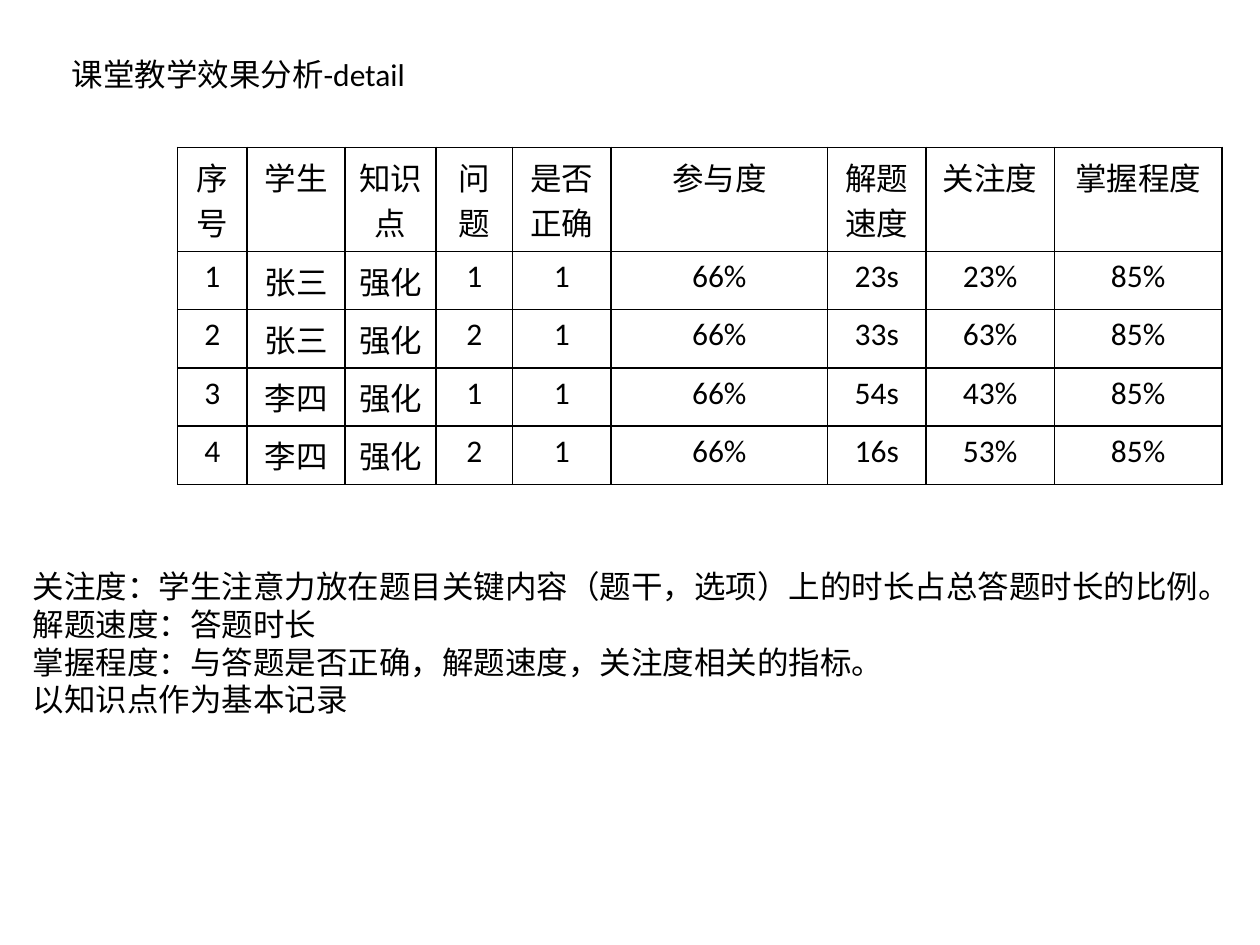
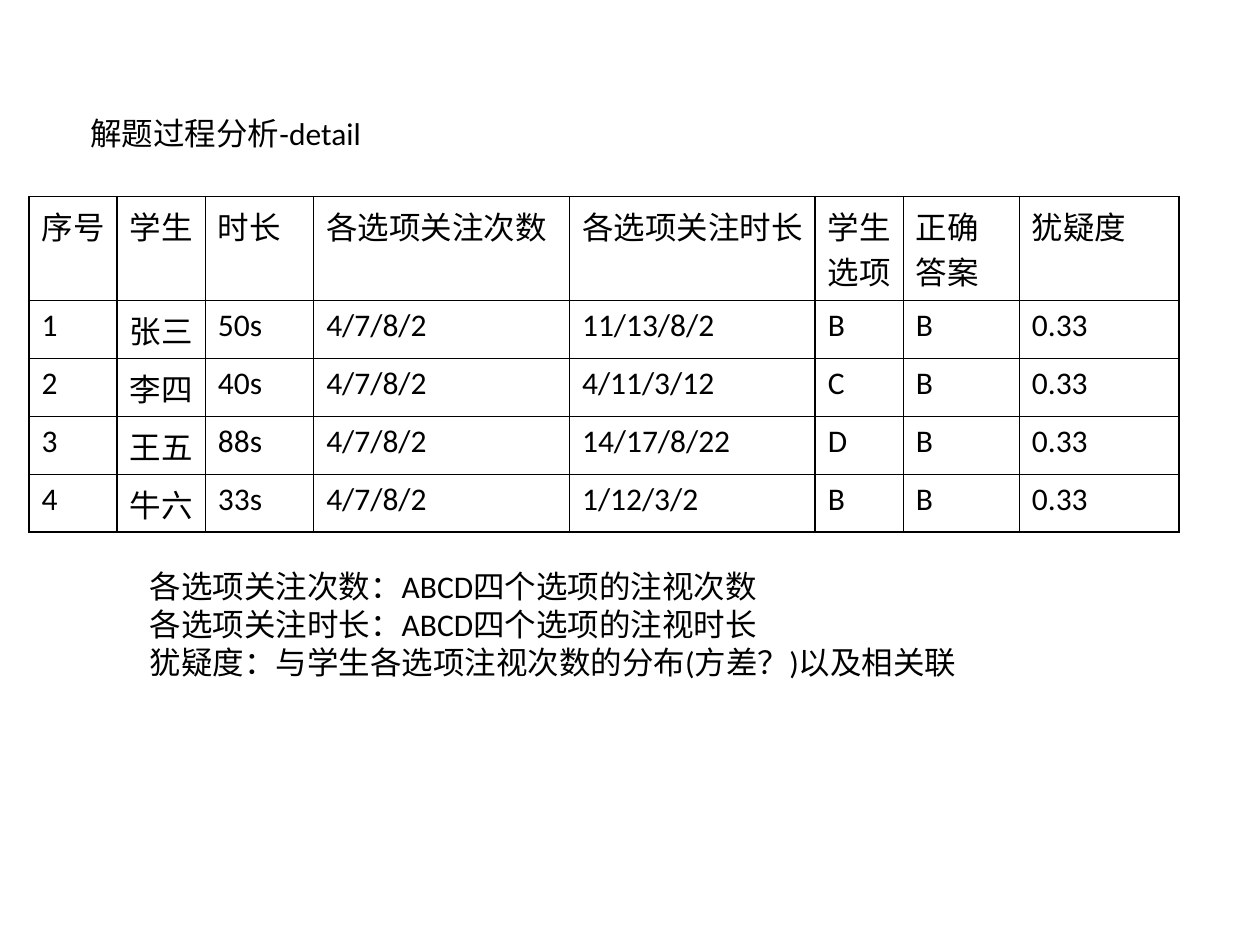
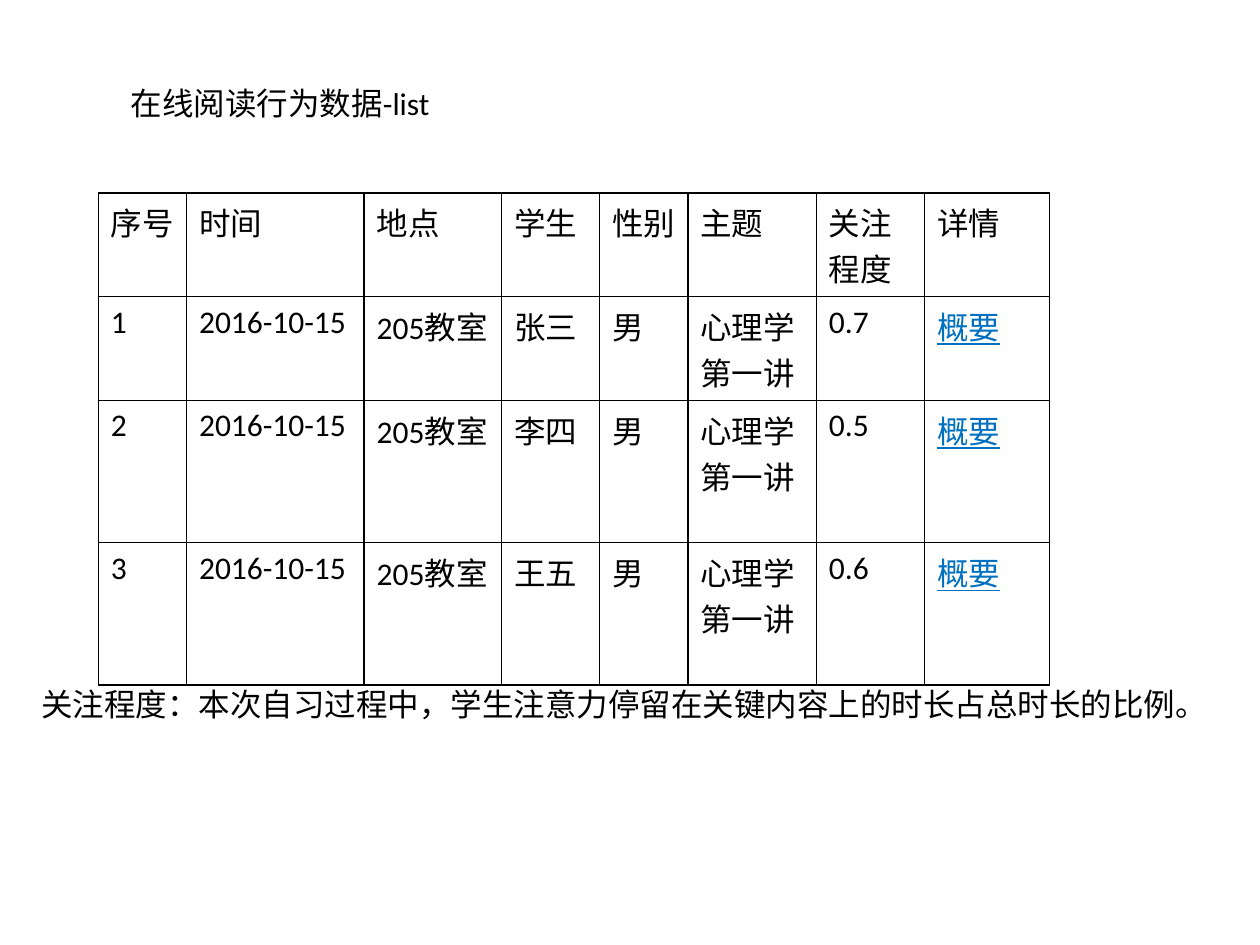
from dataclasses import dataclass

from lxml import etree
from pptx import Presentation
from pptx.dml.color import RGBColor
from pptx.enum.text import PP_ALIGN
from pptx.oxml.ns import qn
from pptx.util import Inches, Pt

LEFT, CENTER = PP_ALIGN.LEFT, PP_ALIGN.CENTER
BLANK = 6
COLS, ROWS = 100, 75  # grid of the slide


@dataclass(frozen=True)
class Theme:
    font: str = "Calibri"
    size: int = 18
    ink: str = "000000"
    link: str = "0070C0"
    rule: int = 1


THEME = Theme()
WIDTH, HEIGHT = Inches(10), Inches(7.5)
LINK_WORD = "概要"
TEXT_ROW = 4.6
HEAD_ROW = 8.25
TALL_ROW = 11.28


def col(n):
    return round(WIDTH * n / COLS)


def row(n):
    return round(HEIGHT * n / ROWS)


def style(run, color=THEME.ink, **more):
    look = {"name": THEME.font, "size": Pt(THEME.size), "bold": False, **more}
    for key, value in look.items():
        setattr(run.font, key, value)
    run.font.color.rgb = RGBColor.from_string(color)


def add_text(slide, x, y, w, h, lines):
    box = slide.shapes.add_textbox(col(x), row(y), col(w), row(h))
    frame = box.text_frame
    frame.word_wrap = True
    for i, line in enumerate(lines):
        para = frame.paragraphs[0] if i == 0 else frame.add_paragraph()
        run = para.add_run()
        run.text = line
        style(run)
        # East Asian glyphs follow the line height of the Latin face
        face = etree.Element(qn("a:ea"), typeface=THEME.font)
        run.font._element.find(qn("a:latin")).addnext(face)


def add_rules(cell):
    """Draw a thin line on each side of a cell."""
    props = cell._tc.get_or_add_tcPr()
    for i, side in enumerate(("lnL", "lnR", "lnT", "lnB")):
        line = etree.Element(qn(f"a:{side}"), w=str(Pt(THEME.rule)))
        fill = etree.SubElement(line, qn("a:solidFill"))
        etree.SubElement(fill, qn("a:srgbClr"), val=THEME.ink)
        props.insert(i, line)


def fill_cell(cell, text, align):
    cell.fill.background()
    add_rules(cell)
    para = cell.text_frame.paragraphs[0]
    para.alignment = align
    run = para.add_run()
    run.text = text
    if text == LINK_WORD:
        style(run, THEME.link, underline=True)
    else:
        style(run)


def add_grid(slide, x, y, widths, heights, data, align=LEFT):
    frame = slide.shapes.add_table(len(data), len(widths), col(x), row(y),
                                   col(sum(widths)), row(sum(heights)))
    table = frame.table
    table.first_row = table.horz_banding = False
    for column, width in zip(table.columns, widths):
        column.width = col(width)
    for line, height, values in zip(table.rows, heights, data):
        line.height = row(height)
        for cell, value in zip(line.cells, values):
            fill_cell(cell, value, align)


def add_class(slide):
    head = ["序号", "学生", "知识点", "问题", "是否正确", "参与度",
            "解题速度", "关注度", "掌握程度"]
    facts = [("张三", "1", "23s", "23%"), ("张三", "2", "33s", "63%"),
             ("李四", "1", "54s", "43%"), ("李四", "2", "16s", "53%")]
    body = [[str(n), who, "强化", task, "1", "66%", speed, focus, "85%"]
            for n, (who, task, speed, focus) in enumerate(facts, 1)]
    add_grid(slide, 14.1, 11.7,
             [5.5, 7.8, 7.2, 6.1, 7.8, 17.2, 7.8, 10.2, 13.3],
             [HEAD_ROW] + [TEXT_ROW] * 4, [head] + body, CENTER)
    add_text(slide, 4.7, 3.9, 28.7, 4, ["课堂教学效果分析-detail"])
    add_text(slide, 1.6, 44.5, 97.9, 13.1, [
        "关注度：学生注意力放在题目关键内容（题干，选项）上的时长占总答题时长的比例。",
        "解题速度：答题时长",
        "掌握程度：与答题是否正确，解题速度，关注度相关的指标。",
        "以知识点作为基本记录"])


def add_process(slide):
    head = ["序号", "学生", "时长", "各选项关注次数", "各选项关注时长",
            "学生选项", "正确答案", "犹疑度"]
    facts = [("张三", "50s", "11/13/8/2", "B"), ("李四", "40s", "4/11/3/12", "C"),
             ("王五", "88s", "14/17/8/22", "D"), ("牛六", "33s", "1/12/3/2", "B")]
    body = [[str(n), who, span, "4/7/8/2", spans, pick, "B", "0.33"]
            for n, (who, span, spans, pick) in enumerate(facts, 1)]
    add_grid(slide, 2.3, 15.6, [7, 7, 8.6, 20.3, 19.5, 7, 9.2, 12.7],
             [HEAD_ROW] + [TEXT_ROW] * 4, [head] + body)
    add_text(slide, 6.2, 8.6, 23.7, 4, ["解题过程分析-detail"])
    add_text(slide, 10.9, 44.5, 66.7, 10.1, [
        "各选项关注次数：ABCD四个选项的注视次数",
        "各选项关注时长：ABCD四个选项的注视时长",
        "犹疑度：与学生各选项注视次数的分布(方差？)以及相关联"])


def add_reading(slide):
    head = ["序号", "时间", "地点", "学生", "性别", "主题", "关注程度", "详情"]
    facts = [("张三", "0.7"), ("李四", "0.5"), ("王五", "0.6")]
    body = [[str(n), "2016-10-15", "205教室", who, "男", "心理学第一讲",
             focus, LINK_WORD] for n, (who, focus) in enumerate(facts, 1)]
    add_grid(slide, 7.8, 15.3, [7, 14.1, 10.9, 7.8, 7, 10.2, 8.6, 9.9],
             [HEAD_ROW] * 2 + [TALL_ROW] * 2, [head] + body)
    add_text(slide, 9.4, 6.2, 25.9, 4, ["在线阅读行为数据-list"])
    add_text(slide, 2.3, 53.9, 95.4, 4, [
        "关注程度：本次自习过程中，学生注意力停留在关键内容上的时长占总时长的比例。"])


def main():
    deck = Presentation()
    deck.slide_width, deck.slide_height = WIDTH, HEIGHT
    for build in (add_class, add_process, add_reading):
        build(deck.slides.add_slide(deck.slide_layouts[BLANK]))
    deck.save("out.pptx")


if __name__ == "__main__":
    main()
